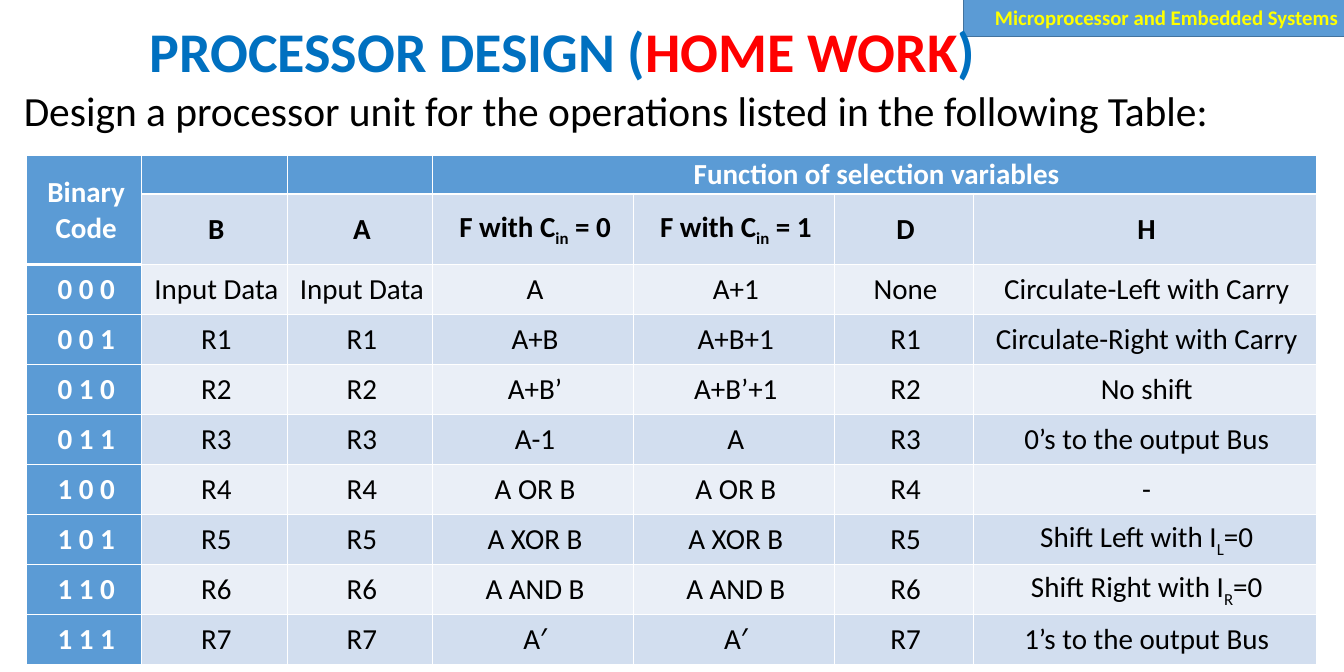
from lxml.etree import SubElement
from pptx import Presentation
from pptx.dml.color import RGBColor
from pptx.enum.shapes import MSO_SHAPE
from pptx.enum.text import MSO_ANCHOR as ANCHOR, MSO_AUTO_SIZE as FIT, PP_ALIGN as ALIGN
from pptx.oxml.ns import qn
from pptx.util import Cm, Pt

COLORS = {
    "header": "5B9BD5", "outline": "43739E", "title": "0070C0", "accent": "FF0000",
    "course": "FFFF00", "text": "000000", "white": "FFFFFF",
    "light": "EAEFF7", "dark": "D2DEEF",
}
COL_WIDTHS = [3.91, 4.95, 4.95, 6.83, 6.83, 4.72, 11.68]
ROW_HEIGHTS = [1.32, 1.6] + [1.7] * 8
CELL_FORMAT = {
    "margin_left": Cm(0.23), "margin_top": Cm(0.03), "margin_right": Cm(0.1),
    "margin_bottom": Cm(0), "vertical_anchor": ANCHOR.MIDDLE,
}
HEADINGS = [
    ["Binary Code", "", "", "Function of selection variables", "", "", ""],
    ["", "B", "A", "F with C_in_ = 0", "F with C_in_ = 1", "D", "H"],
]
# F with carry 0, F with carry 1, H
OPERATIONS = [
    ("A", "A+1", "Circulate-Left with Carry"),
    ("A+B", "A+B+1", "Circulate-Right with Carry"),
    ("A+B’", "A+B’+1", "No shift"),
    ("A-1", "A", "0’s to the output Bus"),
    ("A OR B", "A OR B", "-"),
    ("A XOR B", "A XOR B", "Shift Left with I_L_=0"),
    ("A AND B", "A AND B", "Shift Right with I_R_=0"),
    ("A′", "A′", "1’s to the output Bus"),
]


def rgb(name):
    return RGBColor.from_string(COLORS[name])


def set_attrs(obj, values):
    for name, value in values.items():
        setattr(obj, name, value)


def add_run(p, text, size, color, bold=False):
    r = p.add_run()
    r.text = text
    set_attrs(r.font, {"name": "Calibri", "size": Pt(size), "bold": bold})
    r.font.color.rgb = rgb(color)
    return r


def place(sp, left, top, width, height):
    set_attrs(sp, {"left": Cm(left), "top": Cm(top), "width": Cm(width), "height": Cm(height)})


def add_course_bar(s):
    sp = s.shapes.add_shape(MSO_SHAPE.RECTANGLE, Cm(32.77), Cm(-0.05), Cm(13), Cm(1.3))
    sp.shadow.inherit = False
    sp.fill.solid()
    sp.fill.fore_color.rgb = rgb("header")
    sp.line.color.rgb = rgb("outline")
    sp.line.width = Pt(1)
    sp.text_frame.vertical_anchor = ANCHOR.MIDDLE
    p = sp.text_frame.paragraphs[0]
    p.alignment = ALIGN.RIGHT
    add_run(p, "Microprocessor and Embedded Systems", 20, "course", True)
    s.shapes._spTree.insert(2, sp._element)  # behind the title


def add_title(s):
    sp = s.shapes.title
    place(sp, 4.83, 0.38, 32.87, 2.97)
    tf = sp.text_frame
    set_attrs(tf, {"vertical_anchor": ANCHOR.MIDDLE, "word_wrap": True, "auto_size": FIT.NONE})
    p = tf.paragraphs[0]
    set_attrs(p, {"alignment": ALIGN.LEFT, "line_spacing": 0.9})
    for text, color in (("PROCESSOR DESIGN (", "title"), ("HOME WORK", "accent"), (")", "title")):
        add_run(p, text, 54, color, True)


def add_task(s):
    tf = s.shapes.add_textbox(Cm(0.56), Cm(2.77), Cm(44.73), Cm(1.96)).text_frame
    tf.word_wrap = True
    add_run(tf.paragraphs[0],
            "Design a processor unit for the operations listed in the following Table:", 40, "text")


def set_borders(cell, top, bottom):
    """Give the cell white borders: 1 pt at the sides, top and bottom in points."""
    tc_pr = cell._tc.get_or_add_tcPr()
    for i, (side, width) in enumerate({"L": 1, "R": 1, "T": top, "B": bottom}.items()):
        ln = SubElement(tc_pr, qn(f"a:ln{side}"), w=str(Pt(width)))
        SubElement(SubElement(ln, qn("a:solidFill")), qn("a:srgbClr"), val=COLORS["white"])
        tc_pr.insert(i, ln)


def write_cell(cell, text, color, bold):
    """Write centred text in which underscores enclose a subscript."""
    p = cell.text_frame.paragraphs[0]
    p.alignment = ALIGN.CENTER
    for i, part in enumerate(text.split("_")):
        if part:
            r = add_run(p, part, 28, color, bold)
            if i % 2:
                r.font._element.set("baseline", "-25000")


def table_rows():
    rows = list(HEADINGS)
    for i, (f0, f1, shift) in enumerate(OPERATIONS):
        source, target = (f"R{i}", f"R{i}") if i else ("Input Data", "None")
        rows.append([" ".join(f"{i:03b}"), source, source, f0, f1, target, shift])
    return rows


def under_rule(row, col):
    """Tell whether the thick heading rule runs below this cell."""
    return row == 0 or (row, col) == (1, 0)


def add_operations_table(s):
    rows = table_rows()
    frame = s.shapes.add_table(len(rows), len(COL_WIDTHS), Cm(0.91), Cm(5.28),
                               Cm(sum(COL_WIDTHS)), Cm(sum(ROW_HEIGHTS)))
    table = frame.table
    set_attrs(table, {"first_row": False, "horz_banding": False})
    for col, width in zip(table.columns, COL_WIDTHS):
        col.width = Cm(width)
    for row, height in zip(table.rows, ROW_HEIGHTS):
        row.height = Cm(height)
    table.cell(0, 0).merge(table.cell(1, 0))
    table.cell(0, 3).merge(table.cell(0, 6))
    for i, texts in enumerate(rows):
        for j, text in enumerate(texts):
            cell = table.cell(i, j)
            heading = i == 0 or j == 0
            set_attrs(cell, CELL_FORMAT)
            cell.fill.solid()
            cell.fill.fore_color.rgb = rgb("header" if heading else "dark" if i % 2 else "light")
            set_borders(cell, 3 if under_rule(i - 1, j) else 1, 3 if under_rule(i, j) else 1)
            write_cell(cell, text, "white" if heading else "text", heading or i == 1)


def main():
    prs = Presentation()
    set_attrs(prs, {"slide_width": Cm(45.72), "slide_height": Cm(22.86)})
    s = prs.slides.add_slide(prs.slide_layouts[5])
    add_course_bar(s)
    add_title(s)
    add_task(s)
    add_operations_table(s)
    prs.save("out.pptx")


if __name__ == "__main__":
    main()
